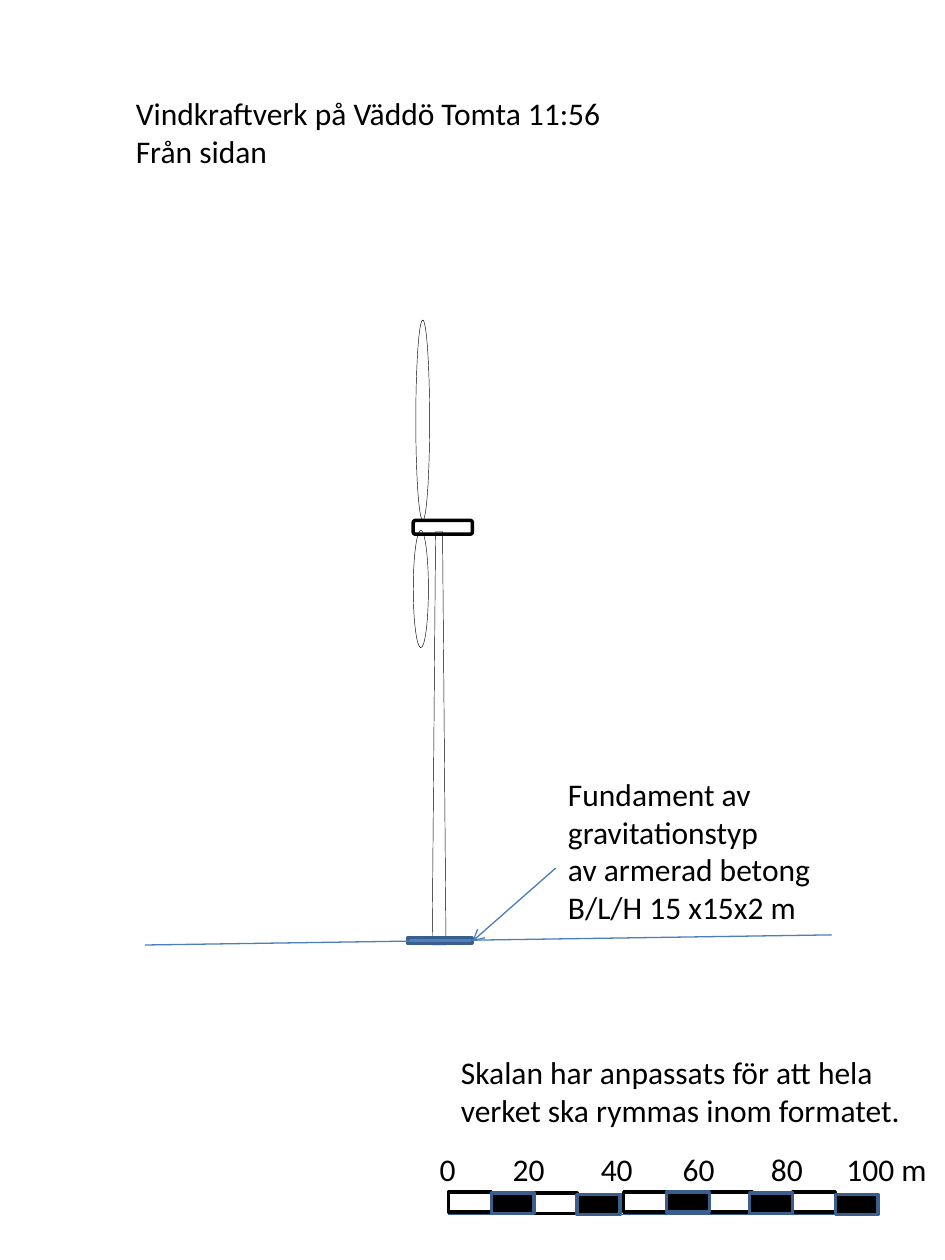
from pptx import Presentation
from pptx.dml.color import RGBColor
from pptx.enum.shapes import MSO_CONNECTOR as Connector, MSO_SHAPE as Shape
from pptx.enum.text import MSO_AUTO_SIZE as AutoSize
from pptx.oxml.ns import qn
from pptx.util import Inches, Pt
from lxml.etree import SubElement

BLACK = RGBColor(0x00, 0x00, 0x00)
BLUE = RGBColor(0x4F, 0x81, 0xBD)
DARK_BLUE = RGBColor(0x3A, 0x5F, 0x8C)
LINE_BLUE = RGBColor(0x4B, 0x7E, 0xBC)
THIN, THICK = 0.25, 2


def add_part(shapes, kind, left, top, width, height, line, weight, fill=None):
    part = shapes.add_shape(kind, Inches(left), Inches(top), Inches(width), Inches(height))
    part.shadow.inherit = False
    if fill is None:
        part.fill.background()
    else:
        part.fill.solid()
        part.fill.fore_color.rgb = fill
    part.line.color.rgb = line
    part.line.width = Pt(weight)
    return part


def add_text(shapes, left, top, width, height, lines, tabs=()):
    box = shapes.add_textbox(Inches(left), Inches(top), Inches(width), Inches(height))
    frame = box.text_frame
    frame.word_wrap = True
    frame.auto_size = AutoSize.SHAPE_TO_FIT_TEXT
    for index, line in enumerate(lines):
        para = frame.add_paragraph() if index else frame.paragraphs[0]
        if tabs:
            stops = SubElement(para._p.get_or_add_pPr(), qn("a:tabLst"))
            for stop in tabs:
                SubElement(stops, qn("a:tab"), pos=str(Inches(stop)), algn="l")
        span = para.add_run()
        span.text = line
        span.font.name = "Calibri"
        span.font.size = Pt(18)
        span.font.color.rgb = BLACK


def add_line(shapes, x1, y1, x2, y2, arrow=False):
    line = shapes.add_connector(Connector.STRAIGHT, Inches(x1), Inches(y1), Inches(x2), Inches(y2))
    line.line.color.rgb = LINE_BLUE
    line.line.width = Pt(0.75)
    if arrow:
        SubElement(line.line._get_or_add_ln(), qn("a:tailEnd"), type="arrow")
    SubElement(line._element.spPr, qn("a:effectLst"))


def add_turbine(shapes, left, top):
    add_part(shapes, Shape.TRAPEZOID, left + 0.19, top + 1.68, 0.11, 3.28, BLACK, THIN)
    add_part(shapes, Shape.OVAL, left + 0.06, top, 0.11, 1.59, BLACK, THIN)
    add_part(shapes, Shape.OVAL, left + 0.04, top + 1.67, 0.12, 0.93, BLACK, THIN)
    add_part(shapes, Shape.RECTANGLE, left, top + 4.9, 0.51, 0.05, DARK_BLUE, THICK, BLUE)
    add_part(shapes, Shape.ROUNDED_RECTANGLE, left + 0.04, top + 1.59, 0.47, 0.11, BLACK, THICK)


def add_scale(shapes, left, top):
    bar = shapes.add_group_shape().shapes
    add_part(bar, Shape.RECTANGLE, left, top + 0.01, 3.41, 0.17, DARK_BLUE, THIN)
    white = [(0, 0), (0.68, 0.01), (1.39, 0), (2.07, 0), (2.73, 0)]
    black = [(0.34, 0.01), (1.02, 0.02), (1.73, 0), (2.39, 0.01), (3.07, 0.02)]
    for fields, line, fill in ((white, BLACK, None), (black, DARK_BLUE, BLACK)):
        for across, down in reversed(fields):
            add_part(bar, Shape.RECTANGLE, left + across, top + down, 0.34, 0.16, line, THICK, fill)
    labels = "\t".join(["0", "20", "40", "60", "80", "100 m"])
    add_text(shapes, left - 0.17, top - 0.38, 4.14, 0.4, [labels], (0.58, 1.28, 1.93, 2.63, 3.23))


def add_foundation_note(shapes, left, top):
    lines = ["Fundament av", "gravitationstyp", "av armerad betong", "B/L/H 15 x15x2 m"]
    add_text(shapes, left, top, 2.2, 1.31, lines)
    add_line(shapes, left, top + 0.79, left - 0.66, top + 1.37, arrow=True)


def build_side_view(page):
    shapes = page.shapes
    add_turbine(shapes, 3.24, 2.54)
    add_scale(shapes, 3.56, 9.46)
    add_text(shapes, 0.98, 0.7, 3.94, 0.71, ["Vindkraftverk på Väddö Tomta 11:56", "Från sidan"])
    add_line(shapes, 1.15, 7.5, 6.6, 7.42)
    add_foundation_note(shapes, 4.41, 6.1)
    add_text(shapes, 3.56, 8.31, 3.72, 0.71,
             ["Skalan har anpassats för att hela", "verket ska rymmas inom formatet."])


deck = Presentation()
deck.slide_width = Inches(7.5)
deck.slide_height = Inches(10)
build_side_view(deck.slides.add_slide(deck.slide_layouts[6]))
deck.save("out.pptx")
